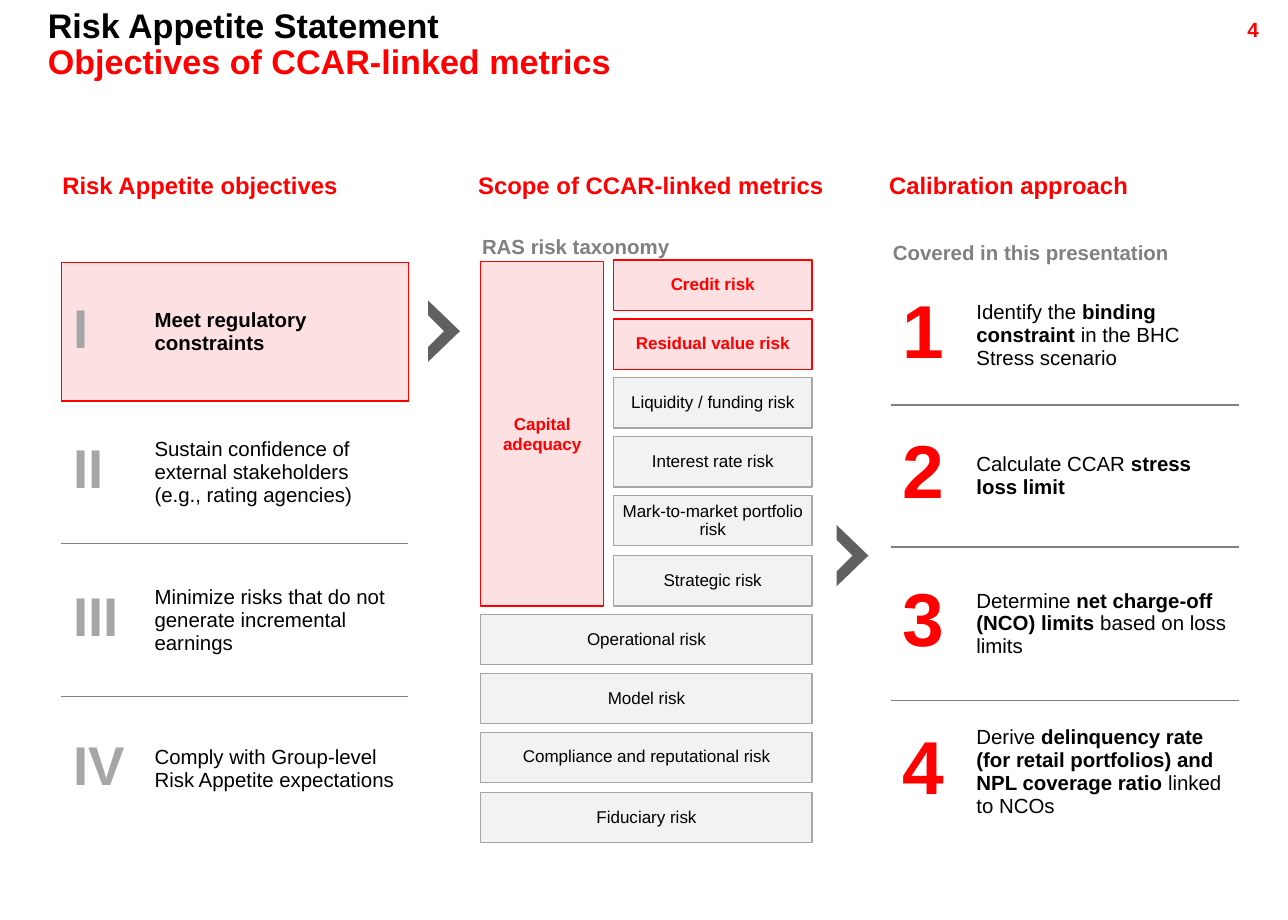
from lxml import etree
from pptx import Presentation
from pptx import util as u
from pptx.dml.color import RGBColor
from pptx.enum import shapes, text
from pptx.oxml.ns import qn

PX = 9144
FONT = "Arial"
RED = RGBColor(0xFF, 0x00, 0x00)
PINK = RGBColor(0xFC, 0xE0, 0xE2)
BLACK = RGBColor(0x00, 0x00, 0x00)
GREY = RGBColor(0x80, 0x80, 0x80)
SILVER = RGBColor(0xA6, 0xA6, 0xA6)
PALE = RGBColor(0xF2, 0xF2, 0xF2)
CHARCOAL = RGBColor(0x60, 0x60, 0x60)
LEFT, CENTER, RIGHT = text.PP_ALIGN.LEFT, text.PP_ALIGN.CENTER, text.PP_ALIGN.RIGHT
TOP, MIDDLE = text.MSO_ANCHOR.TOP, text.MSO_ANCHOR.MIDDLE


def write(frame, words, size=12, color=BLACK, bold=False, align=LEFT, spacing=1.0):
    """Add one paragraph; parts between asterisks are bold."""
    para = frame.paragraphs[0]
    if para.runs:
        para = frame.add_paragraph()
    para.alignment = align
    para.line_spacing = spacing
    para.space_before = u.Pt(0)
    for index, part in enumerate(words.split("*")):
        if part:
            span = para.add_run()
            span.text = part
            span.font.name = FONT
            span.font.size = u.Pt(size)
            span.font.bold = bold or index % 2 == 1
            span.font.color.rgb = color


def set_borders(cell, colors):
    properties = cell._tc.get_or_add_tcPr()
    for index, (side, color) in enumerate(zip("LRTB", colors)):
        line = etree.Element(qn(f"a:ln{side}"), w=str(u.Pt(1)))
        if color is None:
            etree.SubElement(line, qn("a:noFill"))
        else:
            fill = etree.SubElement(line, qn("a:solidFill"))
            etree.SubElement(fill, qn("a:srgbClr"), val=str(color))
        properties.insert(index, line)


class Slide:
    def __init__(self, deck):
        self.page = deck.slides.add_slide(deck.slide_layouts[5])

    def frame(self, box, inset_x, inset_y, anchor):
        frame = box.text_frame
        frame.word_wrap = True
        frame.auto_size = text.MSO_AUTO_SIZE.NONE
        frame.vertical_anchor = anchor
        frame.margin_left = frame.margin_right = inset_x * PX
        frame.margin_top = frame.margin_bottom = inset_y * PX
        return frame

    def title(self, x, y, w, h, lines):
        box = self.page.shapes.title
        box.left, box.top, box.width, box.height = (n * PX for n in (x, y, w, h))
        frame = self.frame(box, 10, 5, TOP)
        for words, color in lines:
            write(frame, words, size=20, color=color, bold=True, spacing=0.9)

    def label(self, x, y, w, h, words, inset_x=10, inset_y=5, **style):
        box = self.page.shapes.add_textbox(*(n * PX for n in (x, y, w, h)))
        write(self.frame(box, inset_x, inset_y, TOP), words, bold=True, **style)

    def tile(self, x, y, w, h, words, key=False, spacing=0.9):
        box = self.page.shapes.add_shape(
            shapes.MSO_SHAPE.RECTANGLE, *(n * PX for n in (x, y, w, h)))
        box.shadow.inherit = False
        box.fill.solid()
        box.fill.fore_color.rgb = PINK if key else PALE
        box.line.color.rgb = RED if key else SILVER
        box.line.width = u.Pt(0.75)
        write(self.frame(box, 4, 4, MIDDLE), words, size=10, bold=key,
              color=RED if key else BLACK, align=CENTER, spacing=spacing)

    def chevron(self, x, y):
        outline = self.page.shapes.build_freeform(x, y, scale=PX)
        outline.add_line_segments(
            [(x, y + 12), (x + 13, y + 25), (x, y + 38), (x, y + 50), (x + 26, y + 25)],
            close=True)
        arrow = outline.convert_to_shape()
        arrow.shadow.inherit = False
        arrow.fill.solid()
        arrow.fill.fore_color.rgb = CHARCOAL
        arrow.line.fill.background()

    def steps(self, x, y, widths, heights, rows, size, color, boxed=False):
        holder = self.page.shapes.add_table(
            len(rows), 2, x * PX, y * PX, sum(widths) * PX, sum(heights) * PX)
        table = holder.table
        table.first_row = table.horz_banding = False
        for column, width in zip(table.columns, widths):
            column.width = width * PX
        rules = [RED, RED] if boxed else [None, GREY]
        rules += [GREY, GREY, None]
        for r, (mark, words) in enumerate(rows):
            table.rows[r].height = heights[r] * PX
            framed = boxed and r == 0
            edge = RED if framed else None
            for c, cell in enumerate(table.rows[r].cells):
                cell.vertical_anchor = MIDDLE
                if framed:
                    cell.fill.solid()
                    cell.fill.fore_color.rgb = PINK
                else:
                    cell.fill.background()
                sides = (None, edge) if c else (edge, None)
                set_borders(cell, (*sides, rules[r], rules[r + 1]))
            write(table.cell(r, 0).text_frame, mark, size=size, color=color,
                  bold=True, spacing=0.9)
            write(table.cell(r, 1).text_frame, words)


OBJECTIVES = [
    ("I", "*Meet regulatory constraints*"),
    ("II", "Sustain confidence of external stakeholders (e.g., rating agencies)"),
    ("III", "Minimize risks that do not generate incremental earnings"),
    ("IV", "Comply with Group-level Risk Appetite expectations"),
]
CALIBRATION = [
    ("1", "Identify the *binding constraint* in the BHC Stress scenario"),
    ("2", "Calculate CCAR *stress loss limit*"),
    ("3", "Determine *net charge-off (NCO) limits* based on loss limits"),
    ("4", "Derive *delinquency rate (for retail portfolios) and NPL coverage ratio* "
          "linked to NCOs"),
]
RISKS = [
    "Credit risk", "Residual value risk", "Liquidity / funding risk",
    "Interest rate risk", "Mark-to-market portfolio risk", "Strategic risk",
    "Operational risk", "Model risk", "Compliance and reputational risk",
    "Fiduciary risk",
]
HEADINGS = [
    (41, "Risk Appetite objectives"),
    (380, "Scope of CCAR-linked metrics"),
    (715, "Calibration approach"),
]
KEY_RISKS = 2
CAPITAL_RISKS = 6
ROW_HEIGHTS = [113, 116, 125, 117]


def main():
    deck = Presentation()
    deck.slide_width, deck.slide_height = 1050 * PX, 750 * PX
    slide = Slide(deck)

    slide.title(29, 2, 900, 68, [("Risk Appetite Statement", BLACK),
                                 ("Objectives of CCAR-linked metrics", RED)])
    slide.label(936, 11, 100, 24, "4", color=RED, align=RIGHT, spacing=0.9)
    for x, heading in HEADINGS:
        slide.label(x, 137, 316, 30, heading, size=14, color=RED, spacing=0.9)

    slide.steps(50, 214, [66, 217], ROW_HEIGHTS, OBJECTIVES, 32, SILVER, boxed=True)
    slide.chevron(349, 245)

    slide.label(393, 191, 270, 22, "RAS risk taxonomy", 0, 0, color=GREY)
    slide.tile(392, 213, 100, 281, "Capital adequacy", key=True, spacing=1.0)
    for i, risk in enumerate(RISKS):
        x, width = (500, 162) if i < CAPITAL_RISKS else (392, 270)
        slide.tile(x, 212 + 434 * i // 9, width, 41, risk, key=i < KEY_RISKS)
    slide.chevron(682, 428)

    slide.label(728, 196, 270, 45, "Covered in this presentation", 0, 0, color=GREY)
    slide.steps(726, 217, [60, 224], ROW_HEIGHTS, CALIBRATION, 44, RED)

    deck.save("out.pptx")


if __name__ == "__main__":
    main()
